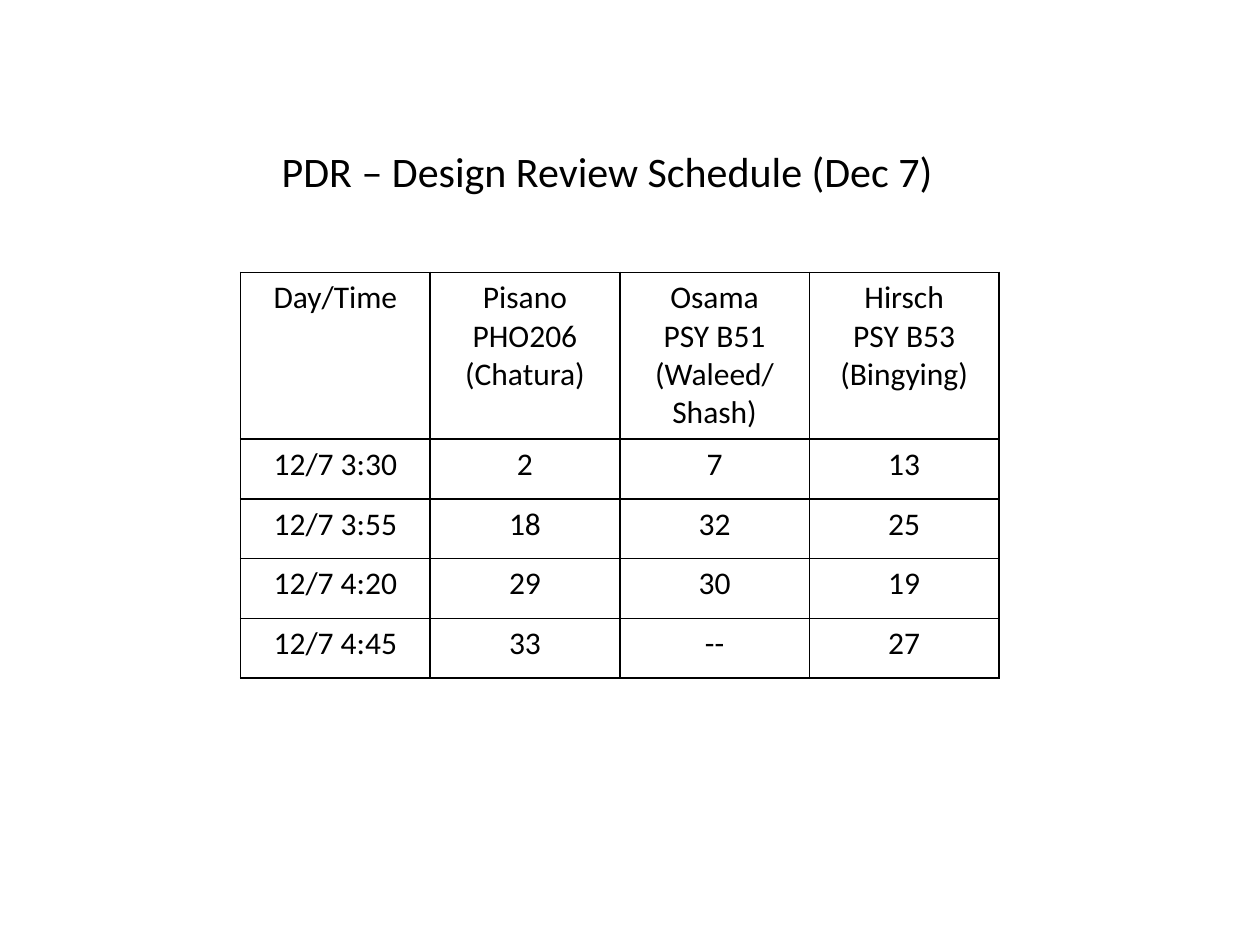
from dataclasses import dataclass

from lxml.etree import SubElement
from pptx import Presentation
from pptx.dml.color import RGBColor
from pptx.enum.text import MSO_AUTO_SIZE, PP_ALIGN
from pptx.oxml.ns import qn
from pptx.util import Cm, Pt


@dataclass(frozen=True)
class Theme:
    """Colours, font and type sizes of the slide."""
    ink: str = "000000"
    font: str = "Calibri"
    title: int = 24
    body: int = 18
    rule: int = 1


THEME = Theme()
ROWS = [
    ["Day/Time", "Pisano\nPHO206\n(Chatura)",
     "Osama\nPSY B51\n(Waleed/ Shash)", "Hirsch\nPSY B53\n(Bingying)"],
    ["12/7 3:30", "2", "7", "13"],
    ["12/7 3:55", "18", "32", "25"],
    ["12/7 4:20", "29", "30", "19"],
    ["12/7 4:45", "33", "--", "27"],
]


def style(frame, size, align):
    """Format every paragraph and run of a text frame."""
    for para in frame.paragraphs:
        para.alignment = align
        for run in para.runs:
            run.font.name = THEME.font
            run.font.size = Pt(size)
            run.font.bold = False
            run.font.color.rgb = RGBColor.from_string(THEME.ink)


def border(cell):
    """Draw a solid rule on all four sides of a cell."""
    props = cell._tc.get_or_add_tcPr()
    for side in ("a:lnL", "a:lnR", "a:lnT", "a:lnB"):
        line = SubElement(props, qn(side), w=str(Pt(THEME.rule)))
        fill = SubElement(line, qn("a:solidFill"))
        SubElement(fill, qn("a:srgbClr"), val=THEME.ink)


def title(slide, box, text):
    """Place the heading in its box."""
    frame = slide.shapes.add_textbox(*box).text_frame
    frame.word_wrap = True
    frame.auto_size = MSO_AUTO_SIZE.SHAPE_TO_FIT_TEXT
    frame.text = text
    style(frame, THEME.title, PP_ALIGN.LEFT)


def schedule(slide, box, rows, head):
    """Place the review table, with a header row of the given height."""
    left, top, width, height = box
    count = len(rows[0])
    table = slide.shapes.add_table(len(rows), count, *box).table
    table.first_row = table.horz_banding = False
    for col in table.columns:
        col.width = width // count
    for row in table.rows:
        row.height = (height - head) // (len(rows) - 1)
    table.rows[0].height = head
    for row, texts in zip(table.rows, rows):
        for cell, text in zip(row.cells, texts):
            cell.text_frame.text = text
            style(cell.text_frame, THEME.body, PP_ALIGN.CENTER)
            border(cell)
            cell.fill.background()


def main():
    """Build and save the slide."""
    deck = Presentation()
    deck.slide_width, deck.slide_height = Cm(25.4), Cm(19.05)
    slide = deck.slides.add_slide(deck.slide_layouts[6])
    schedule(slide, (Cm(4.85), Cm(5.49), Cm(15.29), Cm(8.18)), ROWS, Cm(3.36))
    title(slide, (Cm(5.43), Cm(2.8), Cm(15.5), Cm(1.28)),
          "PDR – Design Review Schedule (Dec 7)")
    deck.save("out.pptx")


if __name__ == "__main__":
    main()
